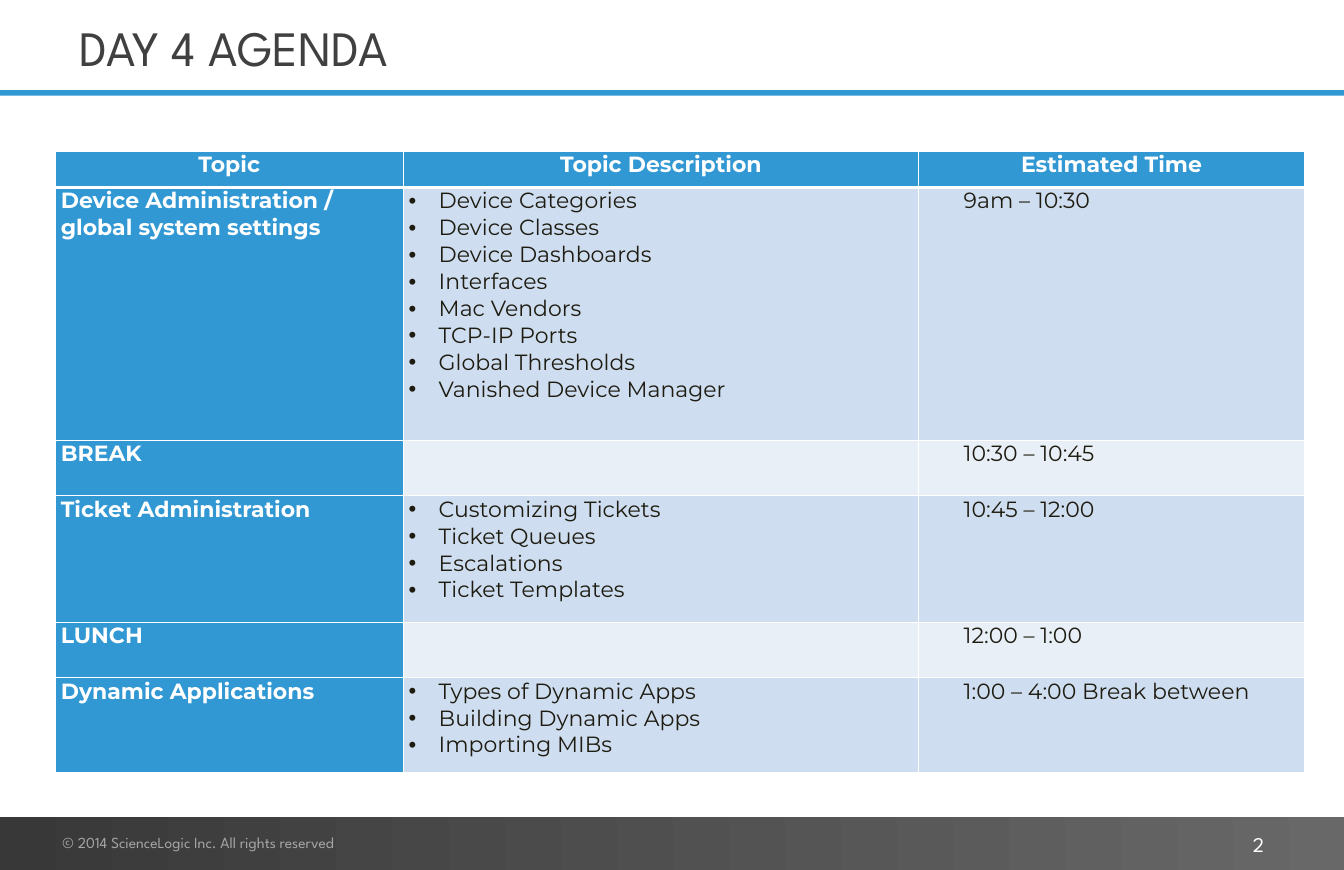
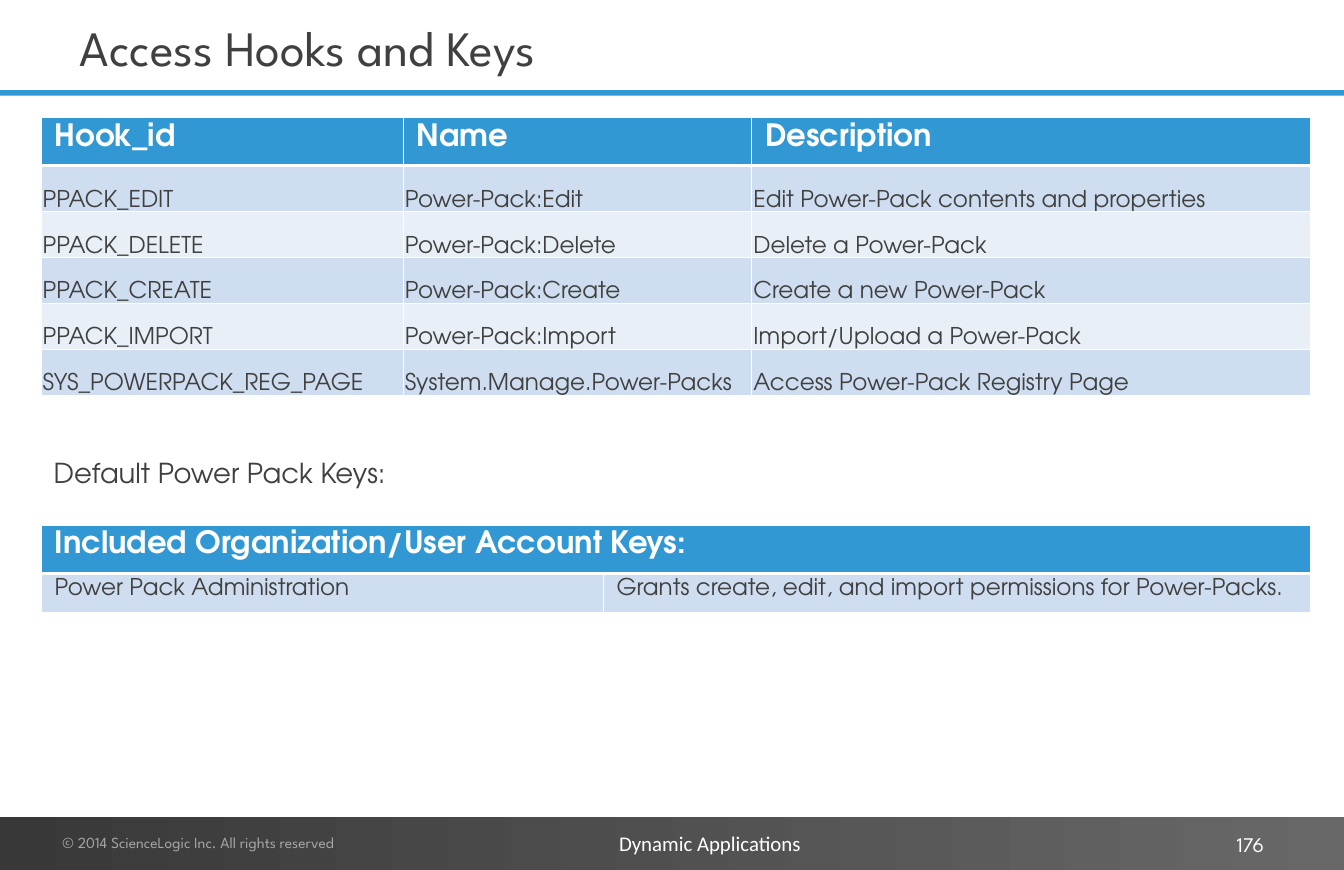
from lxml.etree import SubElement
from pptx import Presentation
from pptx.dml.color import RGBColor
from pptx.enum.shapes import MSO_SHAPE
from pptx.enum.text import MSO_ANCHOR, MSO_AUTO_SIZE, PP_ALIGN
from pptx.oxml.ns import qn
from pptx.util import Inches, Pt

COLORS = {"blue": "3298D4", "band": "CEDDEF", "light": "E8EFF7", "white": "FFFFFF",
          "text": "404040", "ink": "1E1C11", "footer": "A6A6A6",
          "dark": "383838", "gray": "686869"}
HEAD_FONT, AGENDA_FONT, BODY_FONT = "League Spartan", "Montserrat", "TeX Gyre Adventor"
COPYRIGHT = "© 2014 ScienceLogic Inc. All rights reserved"
BOX_INSETS = (0.16, 0.08, 0.16, 0.08)
AGENDA_INSETS = (0.07, 0, 0.07, 0)
WIDE_INSETS = (0.17, 0.07, 0.17, 0.07)
TIGHT_INSETS = (0.02, 0.02, 0.02, 0)

AGENDA_HEADER = ("Topic", "Topic Description", "Estimated Time")
AGENDA = [  # topic, descriptions, time, row height
    ("Device Administration / global system settings",
     ["Device Categories", "Device Classes", "Device Dashboards", "Interfaces",
      "Mac Vendors", "TCP-IP Ports", "Global Thresholds", "Vanished Device Manager"],
     "9am – 10:30", 3.2),
    ("BREAK", [], "10:30 – 10:45", 0.7),
    ("Ticket Administration",
     ["Customizing Tickets", "Ticket Queues", "Escalations", "Ticket Templates"],
     "10:45 – 12:00", 1.6),
    ("LUNCH", [], "12:00 – 1:00", 0.7),
    ("Dynamic Applications",
     ["Types of Dynamic Apps", "Building Dynamic Apps", "Importing MIBs"],
     "1:00 – 4:00 Break between", 1.2),
]
HOOKS = [
    ("Hook_id", "Name", "Description"),
    ("PPACK_EDIT", "Power-Pack:Edit", "Edit Power-Pack contents and properties"),
    ("PPACK_DELETE", "Power-Pack:Delete", "Delete a Power-Pack"),
    ("PPACK_CREATE", "Power-Pack:Create", "Create a new Power-Pack"),
    ("PPACK_IMPORT", "Power-Pack:Import", "Import/Upload a Power-Pack"),
    ("SYS_POWERPACK_REG_PAGE", "System.Manage.Power-Packs",
     "Access Power-Pack Registry Page"),
]
KEYS_HEADER = "Included Organization/User Account Keys:"
KEYS = ("Power Pack Administration",
        "Grants create, edit, and import permissions for Power-Packs.")


def rgb(name):
    return RGBColor.from_string(COLORS[name])


def add_run(p, text, size, font, color, bold=False):
    r = p.add_run()
    r.text = text
    r.font.size, r.font.name, r.font.bold = Pt(size), font, bold
    r.font.color.rgb = rgb(color)


def set_insets(target, insets):
    (target.margin_left, target.margin_top,
     target.margin_right, target.margin_bottom) = map(Inches, insets)


def add_text(s, box, text, size, font, color, wrap=True, align=PP_ALIGN.LEFT,
             anchor=MSO_ANCHOR.TOP):
    tf = s.shapes.add_textbox(*map(Inches, box)).text_frame
    tf.word_wrap, tf.vertical_anchor = wrap, anchor
    set_insets(tf, BOX_INSETS)
    p = tf.paragraphs[0]
    p.alignment = align
    add_run(p, text, size, font, color)
    return p


def add_bar(s, top, height):
    bar = s.shapes.add_shape(MSO_SHAPE.RECTANGLE, 0, Inches(top), Inches(17.02), Inches(height))
    bar.shadow.inherit = False
    bar.line.fill.background()
    return bar.fill


def add_slide(prs, title, number):
    """Add a slide with the shared title, rule and footer band."""
    s = prs.slides.add_slide(prs.slide_layouts[5])
    band = add_bar(s, 10.33, 0.69)
    band.gradient()
    band.gradient_angle = 0
    for stop, color in zip(band.gradient_stops, ("dark", "gray")):
        stop.color.rgb = rgb(color)
    add_text(s, (0.63, 10.46, 5, 0.4), COPYRIGHT, 14, HEAD_FONT, "footer")
    rule = add_bar(s, 1.14, 0.07)
    rule.solid()
    rule.fore_color.rgb = rgb("blue")
    add_text(s, (12.18, 10.46, 3.97, 0.43), number, 19, HEAD_FONT, "white",
             align=PP_ALIGN.RIGHT, anchor=MSO_ANCHOR.MIDDLE)

    sp = s.shapes.title
    sp.left, sp.top, sp.width, sp.height = map(Inches, (0.85, 0.01, 14.52, 1.17))
    tf = sp.text_frame
    tf.auto_size, tf.vertical_anchor = MSO_AUTO_SIZE.NONE, MSO_ANCHOR.MIDDLE
    set_insets(tf, BOX_INSETS)
    p = tf.paragraphs[0]
    p.alignment = PP_ALIGN.LEFT
    add_run(p, title, 45, HEAD_FONT, "text")
    return s


def add_borders(cell, row):
    """Draw white cell borders, thicker between the header and the body."""
    tc_pr = cell._tc.get_or_add_tcPr()
    widths = {"L": 1, "R": 1, "T": 3 if row == 1 else 1, "B": 3 if row == 0 else 1}
    for side, width in widths.items():
        ln = SubElement(tc_pr, qn(f"a:ln{side}"), w=str(Pt(width)))
        fill = SubElement(ln, qn("a:solidFill"))
        SubElement(fill, qn("a:srgbClr"), val=COLORS["white"])


def add_table(s, left, top, cols, rows, blue_column=False):
    """Add a table with blue header, banded rows and white borders."""
    table = s.shapes.add_table(len(rows), len(cols), Inches(left), Inches(top),
                               Inches(sum(cols)), Inches(sum(rows))).table
    for column, width in zip(table.columns, cols):
        column.width = Inches(width)
    for i, height in enumerate(rows):
        table.rows[i].height = Inches(height)
        for j, cell in enumerate(table.rows[i].cells):
            add_borders(cell, i)
            blue = i == 0 or (blue_column and j == 0)
            cell.fill.solid()
            cell.fill.fore_color.rgb = rgb("blue" if blue else "band" if i % 2 else "light")
    return table


def fill_cell(cell, lines, size, font, color, insets, bold=False, align=PP_ALIGN.LEFT,
              anchor=MSO_ANCHOR.TOP, margin=0, bullet=False):
    set_insets(cell, insets)
    cell.vertical_anchor = anchor
    tf = cell.text_frame
    for i, text in enumerate(lines):
        p = tf.add_paragraph() if i else tf.paragraphs[0]
        p.alignment = align
        if margin:
            p_pr = p._p.get_or_add_pPr()
            p_pr.set("marL", str(Inches(margin)))
            p_pr.set("indent", str(Inches(-margin if bullet else 0)))
            if bullet:
                SubElement(p_pr, qn("a:buFont"), typeface="Arial")
                SubElement(p_pr, qn("a:buChar"), char="•")
        add_run(p, text, size, font, color, bold)


def agenda_slide(prs):
    s = add_slide(prs, "DAY 4 AGENDA", "2")
    heights = [0.46] + [row[-1] for row in AGENDA]
    table = add_table(s, 0.7, 1.91, (4.4, 6.52, 4.88), heights, blue_column=True)
    style = dict(size=20, font=AGENDA_FONT, insets=AGENDA_INSETS)
    for j, text in enumerate(AGENDA_HEADER):
        fill_cell(table.cell(0, j), [text], color="white", bold=True,
                  align=PP_ALIGN.CENTER, **style)
    for i, (topic, items, time, _) in enumerate(AGENDA, 1):
        fill_cell(table.cell(i, 0), [topic], color="white", bold=True, **style)
        fill_cell(table.cell(i, 1), items, color="ink", margin=0.38, bullet=True, **style)
        fill_cell(table.cell(i, 2), [time], color="ink", margin=0.5, **style)


def hooks_slide(prs):
    s = add_slide(prs, "Access Hooks and Keys", "176")
    header = dict(size=28, font=BODY_FONT, color="white", insets=WIDE_INSETS, bold=True)
    body = dict(size=21, font=BODY_FONT, color="text")

    hooks = add_table(s, 0.52, 1.49, (4.58, 4.41, 7.06), [0.6] + [0.58] * (len(HOOKS) - 1))
    for i, row in enumerate(HOOKS):
        style = dict(body, insets=TIGHT_INSETS, anchor=MSO_ANCHOR.BOTTOM) if i else header
        for j, text in enumerate(row):
            fill_cell(hooks.cell(i, j), [text], **style)

    p = add_text(s, (0.52, 5.64, 15.63, 2.1), "Default Power Pack Keys:", 25, BODY_FONT, "text")
    p.line_spacing = 1.1

    keys = add_table(s, 0.52, 6.64, (7.11, 8.94), (0.61, 0.49))
    keys.cell(0, 0).merge(keys.cell(0, 1))
    fill_cell(keys.cell(0, 0), [KEYS_HEADER], **header)
    for j, text in enumerate(KEYS):
        fill_cell(keys.cell(1, j), [text], insets=WIDE_INSETS, **body)

    add_text(s, (7.67, 10.42, 2.65, 0.48), "Dynamic Applications", 19, "Calibri", "white",
             wrap=False)


def main():
    prs = Presentation()
    prs.slide_width, prs.slide_height = Inches(17), Inches(11)
    agenda_slide(prs)
    hooks_slide(prs)
    prs.save("out.pptx")


if __name__ == "__main__":
    main()
